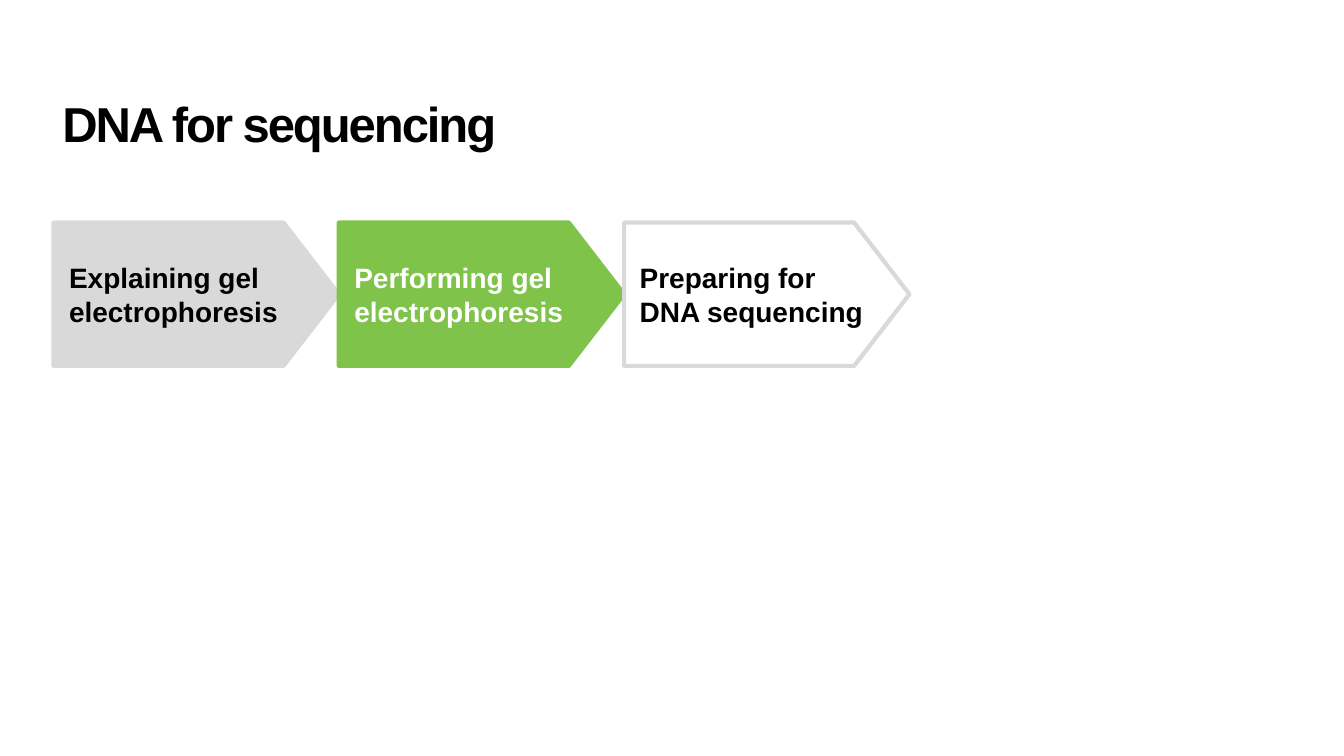
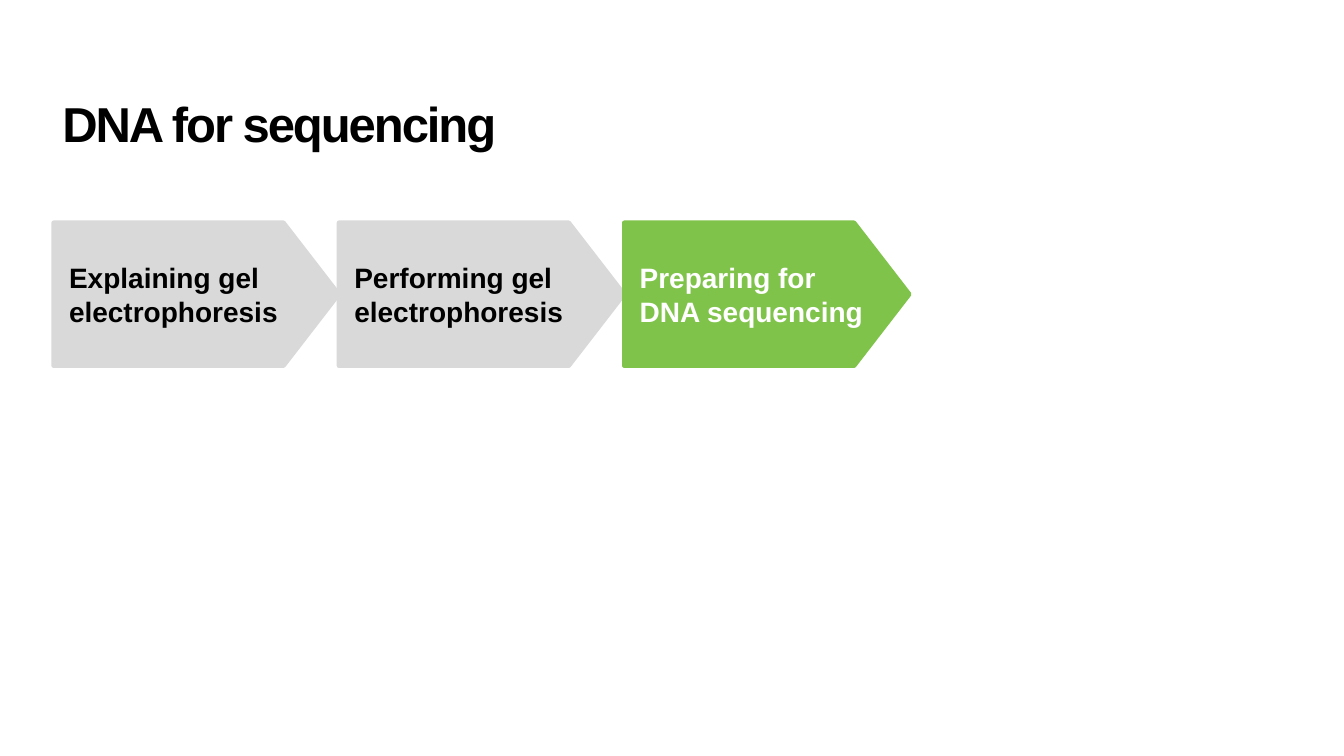
from dataclasses import dataclass

from pptx import Presentation
from pptx.dml.color import RGBColor
from pptx.enum import shapes, text
from pptx.util import Cm, Pt

TITLE = "DNA for sequencing"
STEPS = ["Explaining gel electrophoresis",
         "Performing gel electrophoresis",
         "Preparing for DNA sequencing"]
ACTIVE_STEPS = [1, 2]  # highlighted step on each slide


@dataclass(frozen=True)
class Theme:
    font: str = "Arial"
    title_size: Pt = Pt(35)
    step_size: Pt = Pt(20)
    outline: Pt = Pt(3)
    black: RGBColor = RGBColor(0x00, 0x00, 0x00)
    white: RGBColor = RGBColor(0xFF, 0xFF, 0xFF)
    grey: RGBColor = RGBColor(0xD9, 0xD9, 0xD9)
    green: RGBColor = RGBColor(0x80, 0xC3, 0x4B)


THEME = Theme()
LEFT, TOP = Cm(1.35), Cm(5.61)
STEP_WIDTH, STEP_HEIGHT = Cm(7.19), Cm(3.61)
POINT_RATIO = 0.386


def set_text(tf, content, size, color):
    tf.text = content
    tf.word_wrap = True
    p = tf.paragraphs[0]
    p.alignment = text.PP_ALIGN.LEFT
    font = p.runs[0].font
    font.name, font.size, font.bold = THEME.font, size, True
    font.color.rgb = color
    return p


def add_title(s):
    tf = s.shapes.add_textbox(Cm(1.32), Cm(2.64), Cm(31.22), Cm(2.64)).text_frame
    tf.margin_top = 0
    p = set_text(tf, TITLE, THEME.title_size, THEME.black)
    p.line_spacing = 0.8
    p.runs[0].font._element.set("spc", "-150")


def add_step(s, index, active):
    """Draw one arrow: grey when done, green when active, outlined when ahead."""
    sp = s.shapes.add_shape(shapes.MSO_SHAPE.PENTAGON, LEFT + index * STEP_WIDTH,
                            TOP, STEP_WIDTH, STEP_HEIGHT)
    sp.adjustments[0] = POINT_RATIO
    sp.shadow.inherit = False
    color = THEME.green if index == active else THEME.grey
    sp.line.color.rgb = color
    sp.line.width = THEME.outline
    if index > active:
        sp.fill.background()
    else:
        sp.fill.solid()
        sp.fill.fore_color.rgb = color

    tf = sp.text_frame
    tf.margin_left, tf.margin_right = Cm(0.39), Cm(0.25)
    tf.vertical_anchor = text.MSO_ANCHOR.MIDDLE
    set_text(tf, STEPS[index], THEME.step_size,
             THEME.white if index == active else THEME.black)


def main():
    prs = Presentation()
    prs.slide_width, prs.slide_height = Cm(33.87), Cm(19.05)
    for active in ACTIVE_STEPS:
        s = prs.slides.add_slide(prs.slide_layouts[6])
        add_title(s)
        for index in range(len(STEPS)):
            add_step(s, index, active)
    prs.save("out.pptx")


if __name__ == "__main__":
    main()
